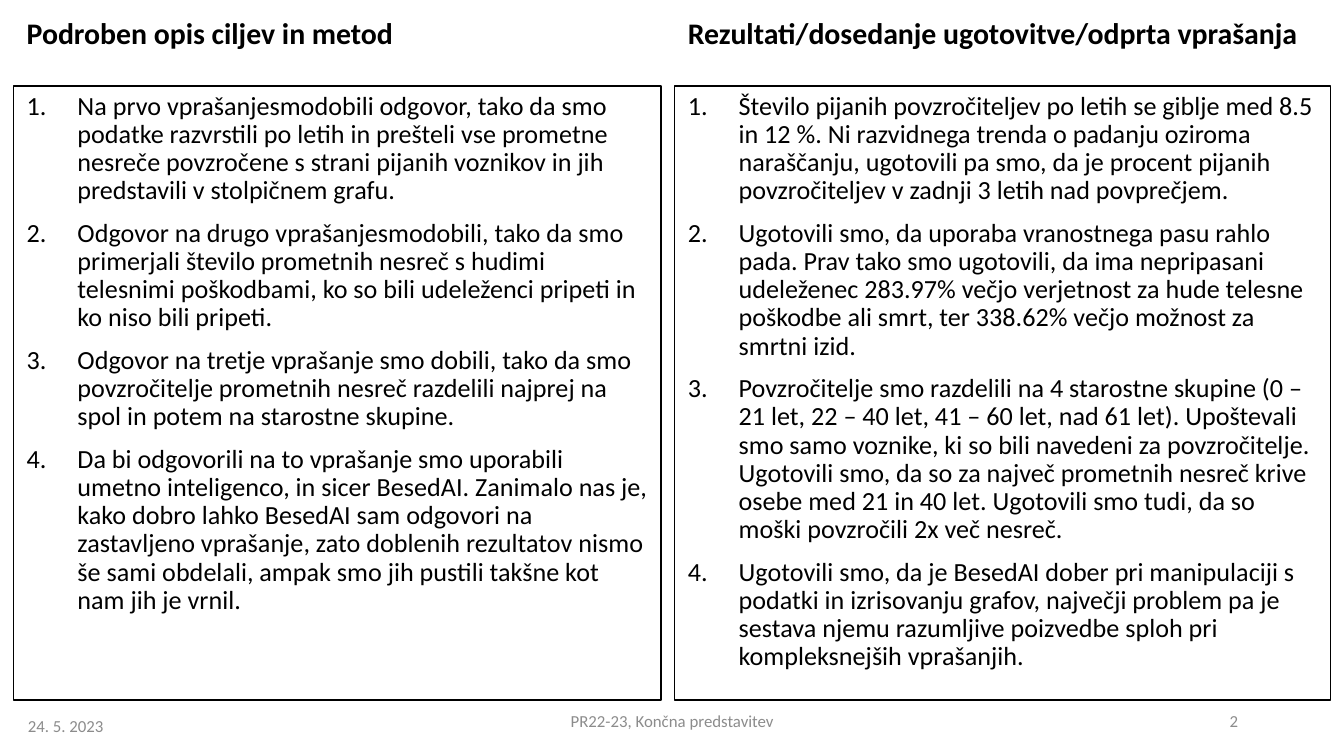
from lxml.etree import SubElement
from pptx import Presentation
from pptx.dml.color import RGBColor
from pptx.enum.shapes import MSO_SHAPE as SHAPE
from pptx.enum.text import MSO_ANCHOR as ANCHOR, PP_ALIGN as ALIGN
from pptx.oxml.ns import qn
from pptx.util import Pt

BLACK = RGBColor(0x00, 0x00, 0x00)
GRAY = RGBColor(0x8C, 0x8C, 0x8C)
FONT = "Calibri"
INDENT = 27.2
MARGIN = 7.2

GOALS = (
    "Podroben opis ciljev in metod",
    [
        "Na prvo vprašanjesmodobili odgovor, tako da smo podatke razvrstili po letih in "
        "prešteli vse prometne nesreče povzročene s strani pijanih voznikov in jih "
        "predstavili v stolpičnem grafu.",
        "Odgovor na drugo vprašanjesmodobili, tako da smo primerjali število prometnih "
        "nesreč s hudimi telesnimi poškodbami, ko so bili udeleženci pripeti in ko niso "
        "bili pripeti.",
        "Odgovor na tretje vprašanje smo dobili, tako da smo povzročitelje prometnih "
        "nesreč razdelili najprej na spol in potem na starostne skupine.",
        "Da bi odgovorili na to vprašanje smo uporabili umetno inteligenco, in sicer "
        "BesedAI. Zanimalo nas je, kako dobro lahko BesedAI sam odgovori na zastavljeno "
        "vprašanje, zato doblenih rezultatov nismo še sami obdelali, ampak smo jih "
        "pustili takšne kot nam jih je vrnil.",
    ],
)
RESULTS = (
    "Rezultati/dosedanje ugotovitve/odprta vprašanja",
    [
        "Število pijanih povzročiteljev po letih se giblje med 8.5 in 12 %. Ni razvidnega "
        "trenda o padanju oziroma naraščanju, ugotovili pa smo, da je procent pijanih "
        "povzročiteljev v zadnji 3 letih nad povprečjem.",
        "Ugotovili smo, da uporaba vranostnega pasu rahlo pada. Prav tako smo ugotovili, "
        "da ima nepripasani udeleženec 283.97% večjo verjetnost za hude telesne poškodbe "
        "ali smrt, ter 338.62% večjo možnost za smrtni izid.",
        "Povzročitelje smo razdelili na 4 starostne skupine (0 – 21 let, 22 – 40 let, "
        "41 – 60 let, nad 61 let). Upoštevali smo samo voznike, ki so bili navedeni za "
        "povzročitelje. Ugotovili smo, da so za največ prometnih nesreč krive osebe med "
        "21 in 40 let. Ugotovili smo tudi, da so moški povzročili 2x več nesreč.",
        "Ugotovili smo, da je BesedAI dober pri manipulaciji s podatki in izrisovanju "
        "grafov, največji problem pa je sestava njemu razumljive poizvedbe sploh pri "
        "kompleksnejših vprašanjih.",
    ],
)


def write_text(sp, paragraphs, size=14, color=BLACK, bold=False, align=ALIGN.LEFT,
               anchor=ANCHOR.TOP, line=1.0, before=0, numbered=False):
    """Fill a shape with formatted paragraphs."""
    tf = sp.text_frame
    tf.word_wrap = True
    tf.vertical_anchor = anchor
    for i, text in enumerate(paragraphs):
        p = tf.add_paragraph() if i else tf.paragraphs[0]
        p.alignment = align
        p.line_spacing = line
        p.space_before = Pt(before)
        if numbered:
            number_paragraph(p)
        r = p.add_run()
        r.text = text
        r.font.name = FONT
        r.font.size = Pt(size)
        r.font.bold = bold
        r.font.color.rgb = color


def number_paragraph(p):
    """Give a paragraph a hanging automatic number."""
    pPr = p._p.get_or_add_pPr()
    pPr.set("marL", str(Pt(INDENT)))
    pPr.set("indent", str(-Pt(INDENT)))
    SubElement(pPr, qn("a:buFont"), typeface="+mj-lt")
    SubElement(pPr, qn("a:buAutoNum"), type="arabicPeriod")


def add_text(s, x, y, w, h, text, **fmt):
    """Place one line of text in a box."""
    sp = s.shapes.add_textbox(Pt(x), Pt(y), Pt(w), Pt(h))
    write_text(sp, [text], **fmt)


def add_column(s, x, y, w, h, heading, items):
    """Place a heading over a framed numbered list."""
    top = 39.6
    add_text(s, x, y, w, 29.5, heading, size=16, bold=True, line=0.9, before=7.5)
    sp = s.shapes.add_shape(SHAPE.RECTANGLE, Pt(x), Pt(y + top), Pt(w), Pt(h - top))
    sp.shadow.inherit = False
    sp.fill.background()
    sp.line.color.rgb = BLACK
    sp.line.width = Pt(0.75)
    write_text(sp, items, line=0.9, before=7.5, numbered=True)


def add_footer(s, x, y, w, h):
    """Place the date, title and page number along the bottom."""
    fmt = dict(size=9, color=GRAY, anchor=ANCHOR.MIDDLE)
    add_text(s, x, y + 2.9, 296, h, " 24. 5. 2023", **fmt)
    add_text(s, x + (w - 243) / 2, y, 243, h, "PR22-23, Končna predstavitev",
             align=ALIGN.CENTER, **fmt)
    add_text(s, x + 502.5, y, 162, h, "2", align=ALIGN.RIGHT, **fmt)


def main():
    """Build and save the slide."""
    prs = Presentation()
    prs.slide_width, prs.slide_height = Pt(720), Pt(405)
    s = prs.slides.add_slide(prs.slide_layouts[6])
    left_w, right_w = 347, 351.4
    add_column(s, MARGIN, 6.5, left_w, 368.6, *GOALS)
    add_column(s, MARGIN * 2 + left_w, 6.5, right_w, 368.6, *RESULTS)
    add_footer(s, 5.8, 375.1, 708.4, 21.6)
    prs.save("out.pptx")


if __name__ == "__main__":
    main()
